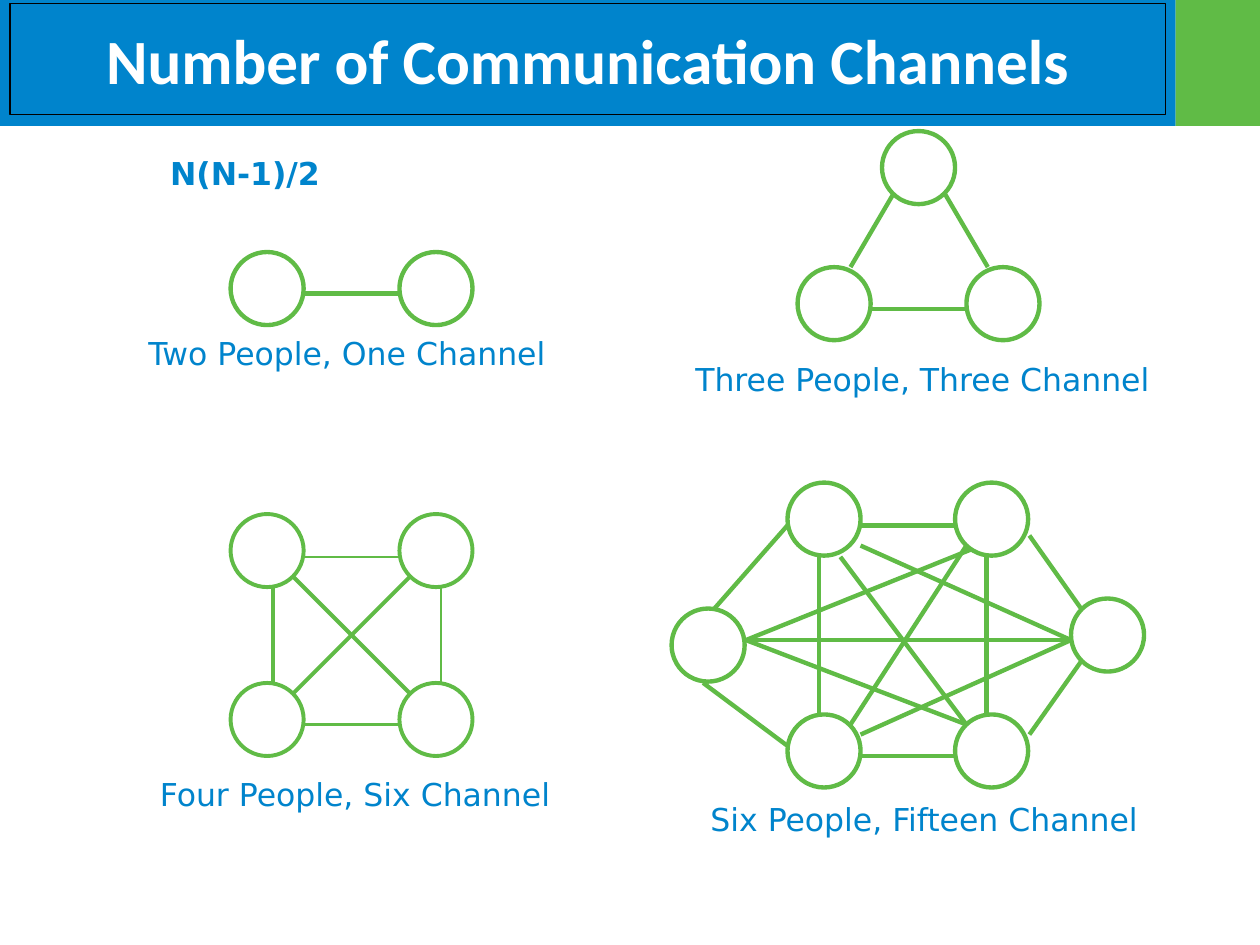
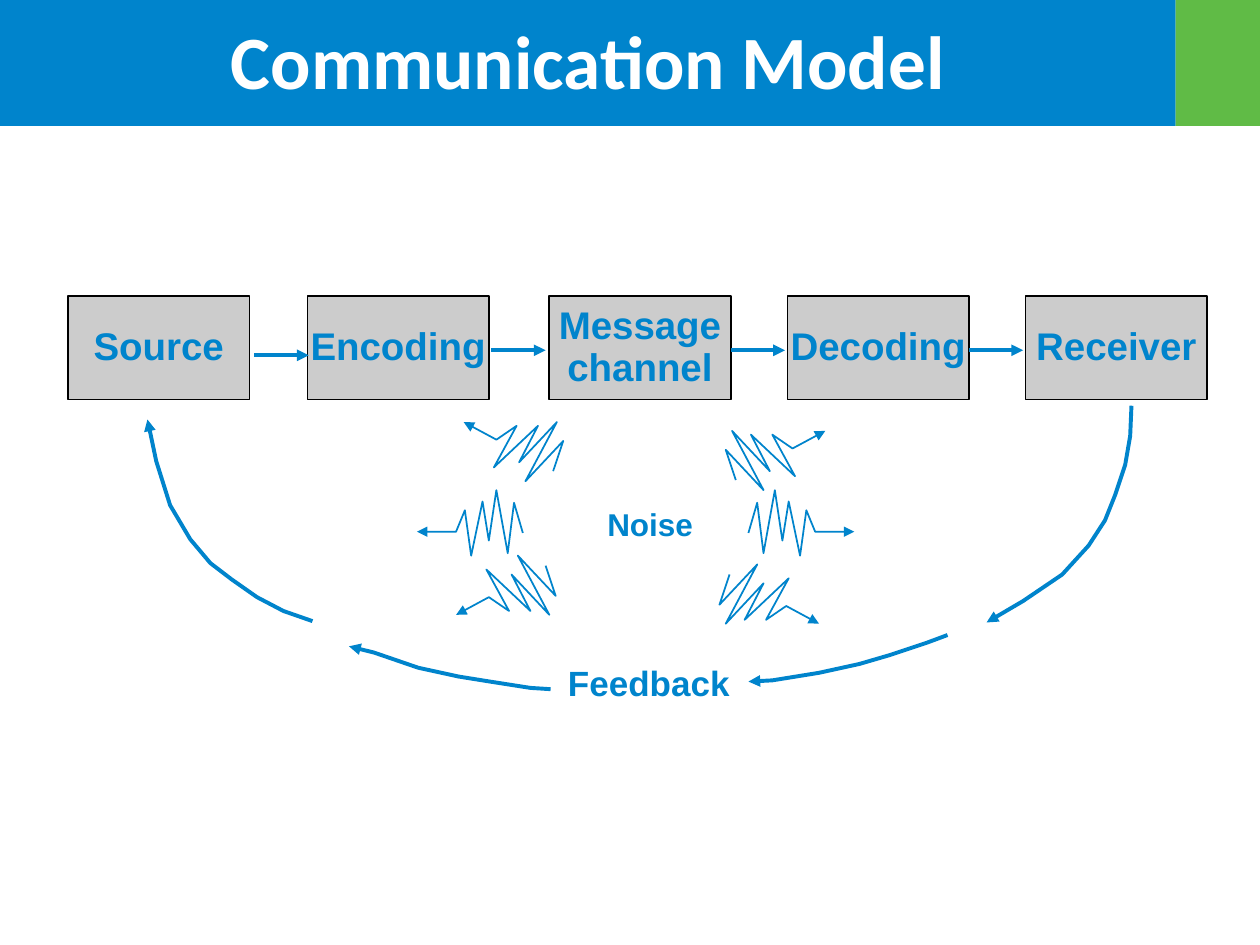
import pptx
import pptx.util
import pptx.dml.color
import pptx.enum.shapes
import pptx.enum.text
import pptx.oxml.ns
from lxml import etree

Inches = pptx.util.Inches
Pt = pptx.util.Pt
SHAPE = pptx.enum.shapes.MSO_SHAPE
ALIGN = pptx.enum.text.PP_ALIGN
ANCHOR = pptx.enum.text.MSO_ANCHOR
qn = pptx.oxml.ns.qn

COLORS = {"blue": "0084CC", "green": "60BB46", "gray": "CCCCCC",
          "black": "000000", "white": "FFFFFF"}
PERSON = 0.58


def rgb(name):
    return pptx.dml.color.RGBColor.from_string(COLORS[name])


class Deck:
    def __init__(self):
        self.prs = pptx.Presentation()
        self.prs.slide_width = Inches(10)
        self.prs.slide_height = Inches(7.5)
        self.slide = None

    def new_slide(self, title, size, border=None):
        self.slide = self.prs.slides.add_slide(self.prs.slide_layouts[6])
        self.shape(SHAPE.RECTANGLE, -0.01, 0, 9.34, 1, fill="blue")
        self.shape(SHAPE.RECTANGLE, 9.33, 0, 0.67, 1, fill="green")
        heading = self.shape(SHAPE.RECTANGLE, 0.08, 0.03, 9.17, 0.88, line=border, weight=0.75)
        self.set_words(heading, title, size, "Calibri", "white", True, ALIGN.CENTER)

    def paint(self, item, fill, line, weight):
        item.shadow.inherit = False
        if fill:
            item.fill.solid()
            item.fill.fore_color.rgb = rgb(fill)
        else:
            item.fill.background()
        if line:
            self.stroke(item, line, weight)
        else:
            item.line.fill.background()

    def stroke(self, item, color, weight, arrow=False):
        item.line.color.rgb = rgb(color)
        item.line.width = Pt(weight)
        if arrow:
            outline = item.element.spPr.find(qn("a:ln"))
            etree.SubElement(outline, qn("a:tailEnd"), type="triangle")

    def shape(self, kind, left, top, width, height, fill=None, line=None, weight=1):
        item = self.slide.shapes.add_shape(
            kind, Inches(left), Inches(top), Inches(width), Inches(height))
        self.paint(item, fill, line, weight)
        return item

    def set_words(self, item, words, size, font, color="blue", bold=False,
                  align=ALIGN.LEFT, anchor=ANCHOR.MIDDLE, wrap=True, spacing=1.0):
        frame = item.text_frame
        frame.text = words
        frame.word_wrap = wrap
        frame.vertical_anchor = anchor
        for paragraph in frame.paragraphs:
            paragraph.alignment = align
            paragraph.line_spacing = spacing
            for run in paragraph.runs:
                run.font.size = Pt(size)
                run.font.name = font
                run.font.bold = bold
                run.font.color.rgb = rgb(color)

    def label(self, words, left, top, width, height, size, font, **style):
        box = self.slide.shapes.add_textbox(
            Inches(left), Inches(top), Inches(width), Inches(height))
        self.set_words(box, words, size, font, **style)
        return box

    def connector(self, start, end, color, weight, arrow=False):
        item = self.slide.shapes.add_connector(
            pptx.enum.shapes.MSO_CONNECTOR.STRAIGHT, *map(Inches, (*start, *end)))
        self.stroke(item, color, weight, arrow)
        etree.SubElement(item.element.spPr, qn("a:effectLst"))

    def arrow_path(self, points, weight):
        corners = [(Inches(x), Inches(y)) for x, y in points]
        builder = self.slide.shapes.build_freeform(*corners[0])
        builder.add_line_segments(corners[1:], close=False)
        item = builder.convert_to_shape()
        self.paint(item, None, None, weight)
        self.stroke(item, "blue", weight, arrow=True)

    def network(self, caption, place, people, channels, weight=2.5, thin=()):
        for left, top in people:
            self.shape(SHAPE.OVAL, left, top, PERSON, PERSON, line="green", weight=weight)
        for start, end in channels:
            self.connector(start, end, "green", weight)
        for start, end in thin:
            self.connector(start, end, "green", 1.5)
        self.label(caption, *place, 0.4, 18, "DejaVu Sans", anchor=ANCHOR.TOP)


def channels_slide(deck):
    deck.new_slide("Number of Communication Channels", 36, border="black")
    formula = deck.label("N(N-1)/2", 0.75, 1.17, 8.83, 0.4, 18, "DejaVu Sans",
                         bold=True, anchor=ANCHOR.TOP)
    formula.text_frame.margin_left = Inches(0.6)

    deck.network("Two People, One Channel", (1.08, 2.6, 3.5),
                 [(1.83, 2), (3.17, 2)],
                 [((2.42, 2.33), (3.17, 2.33))])

    deck.network("Three People, Three Channel", (5.42, 2.81, 3.92),
                 [(6.33, 2.12), (7.67, 2.12), (7, 1.04)],
                 [((6.92, 2.45), (7.67, 2.45)),
                  ((6.75, 2.12), (7.09, 1.54)),
                  ((7.5, 1.54), (7.84, 2.12))])

    deck.network("Four People, Six Channel", (1.17, 6.1, 3.5),
                 [(left, top) for top in (5.42, 4.08) for left in (1.83, 3.17)],
                 [((2.42, 5.75), (3.17, 5.75)),
                  ((2.17, 4.67), (2.17, 5.42)),
                  ((2.33, 4.58), (3.25, 5.5)),
                  ((3.25, 4.58), (2.33, 5.5))],
                 weight=2.25,
                 thin=[((2.42, 4.42), (3.17, 4.42)),
                       ((3.5, 4.67), (3.5, 5.42))])

    west, east = (5.92, 5.08), (8.5, 5.08)
    deck.network("Six People, Fifteen Channel", (5.54, 6.3, 3.92),
                 [(left, top) for left in (6.25, 7.58) for top in (3.83, 5.67)]
                 + [(8.5, 4.75), (5.33, 4.83)],
                 [((6.5, 4.42), (6.5, 5.67)),
                  ((7.83, 4.42), (7.83, 5.67)),
                  ((7.58, 4.17), (6.83, 4.17)),
                  ((7.58, 6), (6.83, 6)),
                  ((7.67, 4.33), (6.75, 5.75)),
                  ((7.67, 5.75), (6.67, 4.42)),
                  ((8.17, 4.25), (8.58, 4.83)),
                  ((8.58, 5.25), (8.17, 5.83)),
                  ((6.25, 4.17), (5.67, 4.83)),
                  ((5.58, 5.42), (6.25, 5.92)),
                  (west, east),
                  (west, (7.71, 4.36)),
                  (west, (7.67, 5.75)),
                  (east, (6.83, 4.33)),
                  (east, (6.83, 5.83))])


def model_slide(deck):
    deck.new_slide("Communication Model", 43)
    centered = dict(bold=True, align=ALIGN.CENTER, wrap=False, spacing=0.9)

    stages = [("Source", 0.54), ("Encoding", 2.44), ("Message\nchannel", 4.36),
              ("Decoding", 6.25), ("Receiver", 8.14)]
    for stage, left in stages:
        box = deck.shape(SHAPE.RECTANGLE, left, 2.35, 1.44, 0.82, fill="gray", line="black")
        deck.set_words(box, stage, 22, "Arial", **centered)

    for left, height in [(2.02, 2.82), (3.9, 2.78), (5.8, 2.78), (7.69, 2.78)]:
        deck.connector((left, height), (left + 0.43, height), "blue", 2.25, arrow=True)

    deck.label("Feedback", 4.4, 5.26, 1.5, 0.35, 20, "Arial", **centered)
    deck.label("Noise", 4.72, 3.99, 0.88, 0.37, 18, "Arial", anchor=ANCHOR.TOP, **centered)

    level = [(0, 0), (-0.07, -0.24), (-0.12, 0.16), (-0.21, -0.34), (-0.27, 0.06),
             (-0.32, -0.25), (-0.41, 0.18), (-0.46, -0.18), (-0.53, -0.01), (-0.84, -0.01)]
    slanted = [(0, 0), (0.08, -0.24), (-0.22, 0.08), (0.03, -0.39), (-0.27, -0.07),
               (-0.12, -0.36), (-0.47, -0.03), (-0.29, -0.36), (-0.45, -0.25), (-0.71, -0.39)]
    noise_waves = [(level, 4.15, 4.23, 1, 1), (slanted, 4.39, 3.74, 1, 1),
                   (slanted, 4.33, 4.49, 1, -1), (level, 5.94, 4.23, -1, 1),
                   (slanted, 5.84, 3.81, -1, 1), (slanted, 5.79, 4.56, -1, -1)]
    for wave, x, y, flip_x, flip_y in noise_waves:
        deck.arrow_path([(x + flip_x * dx, y + flip_y * dy) for dx, dy in wave], 1)

    feedback_arcs = [
        [(8.98, 3.22), (8.97, 3.46), (8.93, 3.69), (8.85, 3.93), (8.77, 4.13),
         (8.64, 4.33), (8.43, 4.56), (8.12, 4.77), (7.83, 4.94)],
        [(7.52, 5.04), (7.36, 5.1), (7.06, 5.2), (6.82, 5.27), (6.5, 5.34),
         (6.13, 5.4), (5.94, 5.41)],
        [(4.37, 5.47), (4.21, 5.46), (3.89, 5.41), (3.64, 5.37), (3.32, 5.3),
         (2.97, 5.18), (2.77, 5.13)],
        [(2.48, 4.93), (2.25, 4.85), (2.04, 4.74), (1.84, 4.6), (1.67, 4.47),
         (1.51, 4.28), (1.35, 4.01), (1.24, 3.66), (1.17, 3.33)],
    ]
    for arc in feedback_arcs:
        deck.arrow_path(arc, 2.25)


def main():
    deck = Deck()
    channels_slide(deck)
    model_slide(deck)
    deck.prs.save("out.pptx")


if __name__ == "__main__":
    main()
